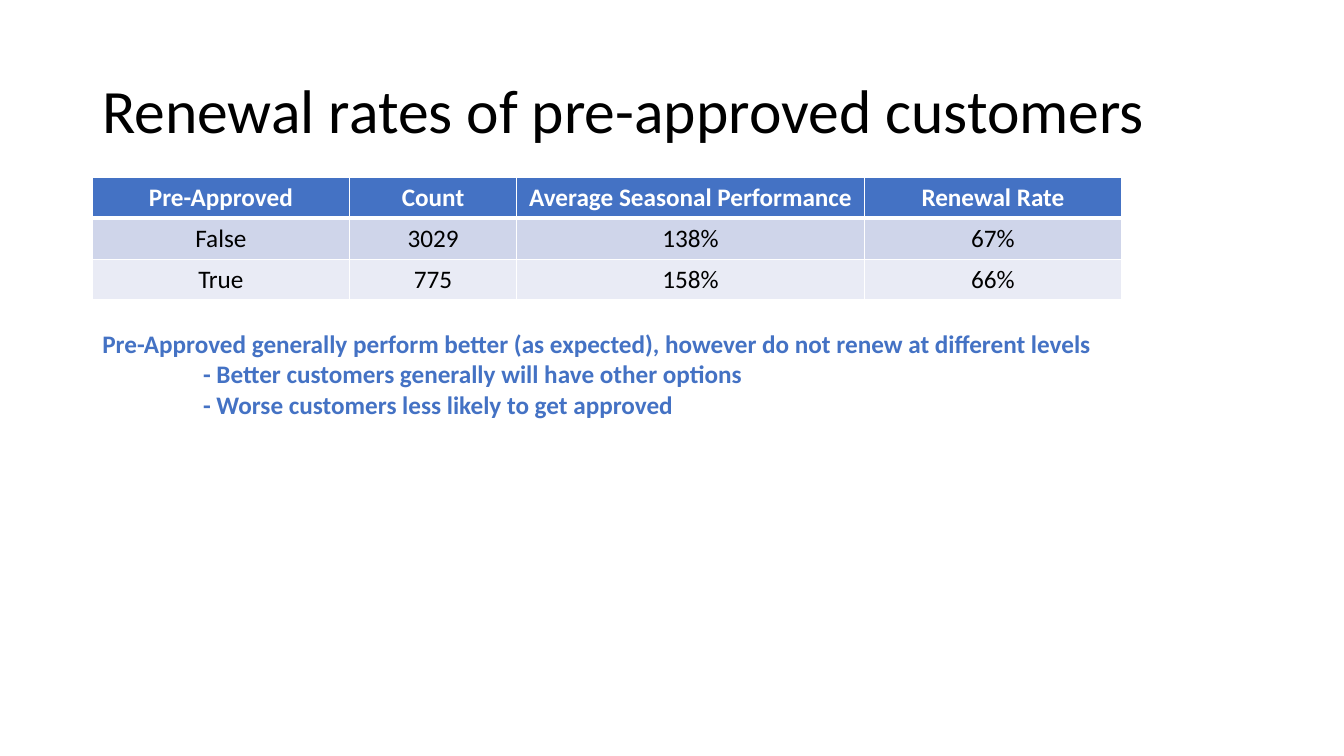
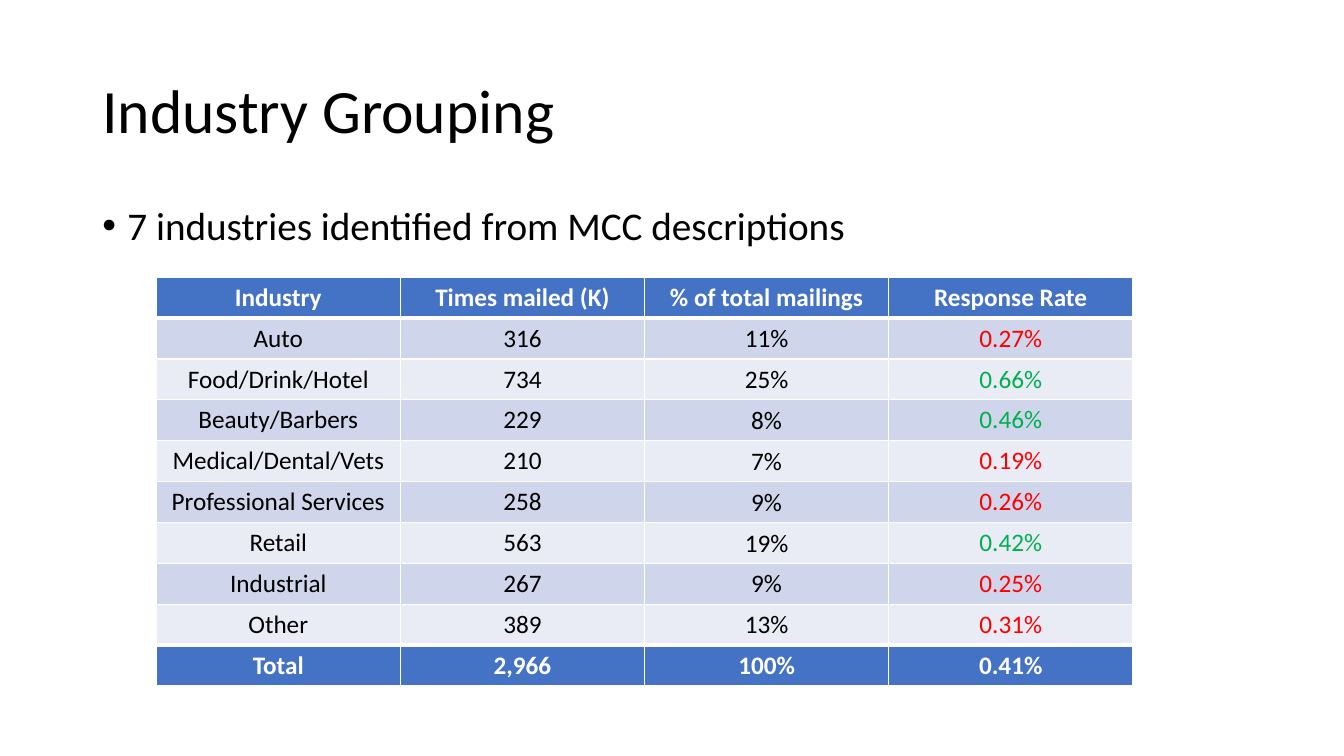
from dataclasses import dataclass

from lxml.etree import SubElement
from pptx import Presentation
from pptx.dml.color import RGBColor
from pptx.enum.text import MSO_ANCHOR as Anchor, PP_ALIGN as Align
from pptx.oxml.ns import qn
from pptx.util import Pt

FONT = "Calibri"
COLORS = {
    "text": "000000",
    "white": "FFFFFF",
    "accent": "4472C4",
    "band_dark": "CFD5EA",
    "band_light": "E9EBF5",
    "low": "FF0000",
    "high": "00B050",
}
MARGIN = 66
CONTENT_WIDTH = 828
ROW_HEIGHT = 29.2
THIN, THICK = 1, 3


@dataclass(frozen=True)
class Box:
    left: float
    top: float
    width: float
    height: float

    def in_points(self) -> tuple:
        return Pt(self.left), Pt(self.top), Pt(self.width), Pt(self.height)


@dataclass(frozen=True)
class TableSpec:
    left: float
    top: float
    widths: tuple
    rows: tuple
    has_total: bool = False
    tight_column: int = -1


RENEWALS = TableSpec(
    left=MARGIN,
    top=126.7,
    widths=(183.6, 119.5, 248.4, 183.6),
    rows=(
        ("Pre-Approved", "Count", "Average Seasonal Performance", "Renewal Rate"),
        ("False", "3029", "138%", "67%"),
        ("True", "775", "158%", "66%"),
    ),
)
INDUSTRIES = TableSpec(
    left=111.6,
    top=198,
    widths=(174.4,) * 4,
    rows=(
        ("Industry", "Times mailed (K)", "% of total mailings", "Response Rate"),
        ("Auto", "316", "11%", "0.27%"),
        ("Food/Drink/Hotel", "734", "25%", "0.66%"),
        ("Beauty/Barbers", "229", "8%", "0.46%"),
        ("Medical/Dental/Vets", "210", "7%", "0.19%"),
        ("Professional Services", "258", "9%", "0.26%"),
        ("Retail", "563", "19%", "0.42%"),
        ("Industrial", "267", "9%", "0.25%"),
        ("Other", "389", "13%", "0.31%"),
        ("Total", "2,966", "100%", "0.41%"),
    ),
    has_total=True,
    tight_column=2,
)


def rgb(name: str) -> RGBColor:
    return RGBColor.from_string(COLORS[name])


def write(paragraph, text: str, *, size=18, color="text", bold=False,
          align=Align.LEFT, line_spacing=1.0, space_before=0,
          margin=0, bullet="") -> None:
    paragraph.alignment = align
    paragraph.line_spacing = line_spacing
    paragraph.space_before = Pt(space_before)
    properties = paragraph._p.get_or_add_pPr()
    properties.set("marL", str(Pt(margin)))
    if bullet:
        properties.set("indent", str(-Pt(margin)))
        SubElement(properties, qn("a:buFont"), typeface="Arial")
        SubElement(properties, qn("a:buChar"), char=bullet)
    run = paragraph.add_run()
    run.text = text
    run.font.name = FONT
    run.font.size = Pt(size)
    run.font.bold = bold
    run.font.color.rgb = rgb(color)


def add_text_frame(slide, box: Box, anchor=Anchor.TOP):
    frame = slide.shapes.add_textbox(*box.in_points()).text_frame
    frame.word_wrap = True
    frame.vertical_anchor = anchor
    return frame


def add_titled_slide(presentation, title: str):
    slide = presentation.slides.add_slide(presentation.slide_layouts[6])
    frame = add_text_frame(slide, Box(MARGIN, 28.8, CONTENT_WIDTH, 104.4), Anchor.MIDDLE)
    write(frame.paragraphs[0], title, size=44, line_spacing=0.9)
    return slide


def set_borders(cell, top: float, bottom: float) -> None:
    properties = cell._tc.get_or_add_tcPr()
    for side, width in (("L", THIN), ("R", THIN), ("T", top), ("B", bottom)):
        line = SubElement(properties, qn(f"a:ln{side}"), w=str(Pt(width)))
        fill = SubElement(line, qn("a:solidFill"))
        SubElement(fill, qn("a:srgbClr"), val=COLORS["white"])


def rate_color(rate: str, average: str) -> str:
    return "high" if float(rate.rstrip("%")) > float(average.rstrip("%")) else "low"


def add_data_table(slide, spec: TableSpec) -> None:
    row_count, column_count = len(spec.rows), len(spec.widths)
    box = Box(spec.left, spec.top, sum(spec.widths), ROW_HEIGHT * row_count)
    table = slide.shapes.add_table(row_count, column_count, *box.in_points()).table
    table.first_row = table.horz_banding = False
    for column, width in zip(table.columns, spec.widths):
        column.width = Pt(width)
    strong_rows = {0, row_count - 1} if spec.has_total else {0}
    for row_index, values in enumerate(spec.rows):
        table.rows[row_index].height = Pt(ROW_HEIGHT)
        strong = row_index in strong_rows
        band = "band_dark" if row_index % 2 else "band_light"
        top = THICK if row_index - 1 in strong_rows or (strong and row_index) else THIN
        bottom = THICK if row_index == 0 or row_index + 1 in strong_rows else THIN
        for column_index, value in enumerate(values):
            cell = table.cell(row_index, column_index)
            set_borders(cell, top, bottom)
            cell.fill.solid()
            cell.fill.fore_color.rgb = rgb("accent" if strong else band)
            cell.vertical_anchor = Anchor.MIDDLE
            if column_index == spec.tight_column and row_index:
                cell.margin_left = cell.margin_right = cell.margin_top = Pt(0.72)
                cell.margin_bottom = Pt(0)
            color = "white" if strong else "text"
            if spec.has_total and not strong and column_index == column_count - 1:
                color = rate_color(value, spec.rows[-1][-1])
            write(cell.text_frame.paragraphs[0], value, color=color,
                  bold=strong, align=Align.CENTER)


def build_renewal_slide(presentation) -> None:
    slide = add_titled_slide(presentation, "Renewal rates of pre-approved customers")
    add_data_table(slide, RENEWALS)
    frame = add_text_frame(slide, Box(MARGIN, 231.1, CONTENT_WIDTH, 72.7))
    findings = (
        ("Pre-Approved generally perform better (as expected), "
         "however do not renew at different levels", 0),
        ("- Better customers generally will have other options", 72),
        ("- Worse customers less likely to get approved", 72),
    )
    for index, (text, margin) in enumerate(findings):
        paragraph = frame.add_paragraph() if index else frame.paragraphs[0]
        write(paragraph, text, color="accent", bold=True, margin=margin)


def build_industry_slide(presentation) -> None:
    slide = add_titled_slide(presentation, "Industry Grouping")
    frame = add_text_frame(slide, Box(MARGIN, 144, CONTENT_WIDTH, 342.7))
    write(frame.paragraphs[0], "7 industries identified from MCC descriptions",
          size=28, line_spacing=0.9, space_before=10, margin=18, bullet="•")
    add_data_table(slide, INDUSTRIES)


def main() -> None:
    presentation = Presentation()
    presentation.slide_width = Pt(960)
    presentation.slide_height = Pt(540)
    build_renewal_slide(presentation)
    build_industry_slide(presentation)
    presentation.save("out.pptx")


if __name__ == "__main__":
    main()
